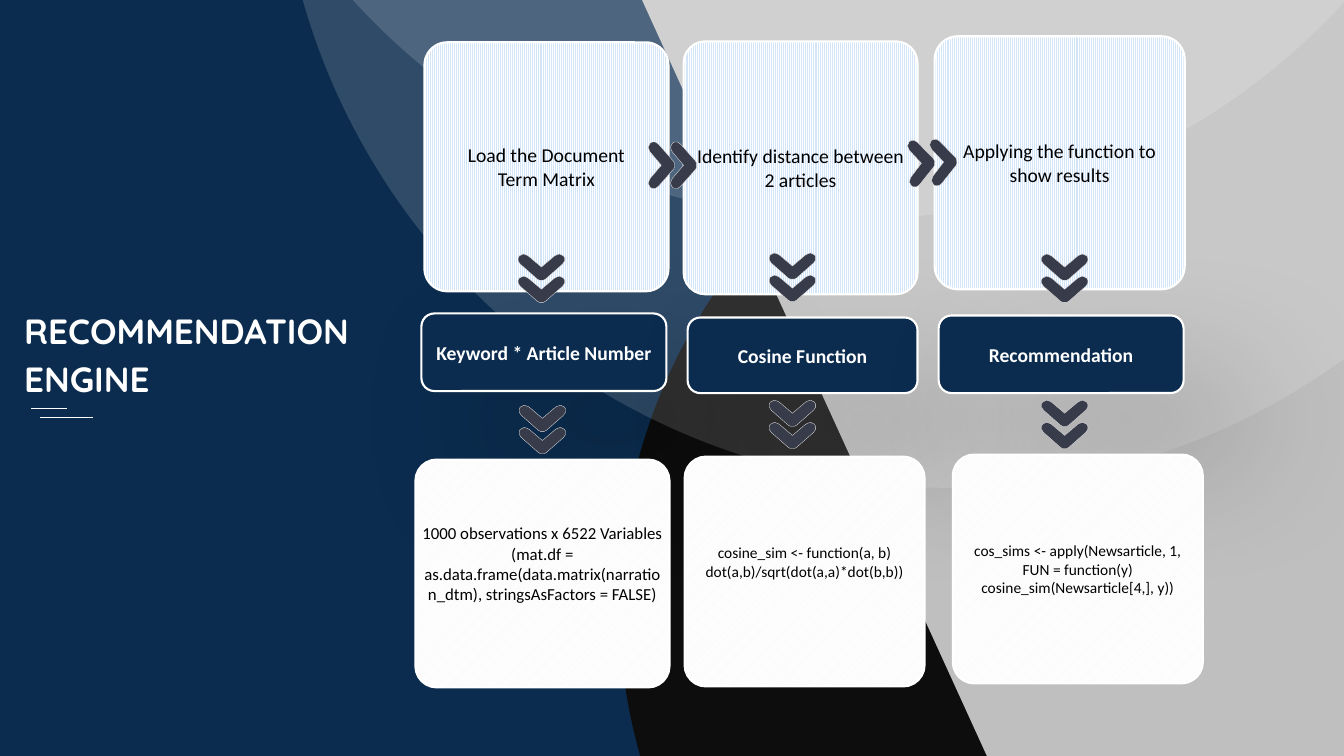
from dataclasses import dataclass
from math import cos, radians, sin

from lxml import etree
from pptx import Presentation
from pptx.dml.color import RGBColor
from pptx.enum.dml import MSO_PATTERN
from pptx.enum.shapes import MSO_CONNECTOR, MSO_SHAPE
from pptx.enum.text import MSO_ANCHOR, MSO_AUTO_SIZE, PP_ALIGN
from pptx.oxml import parse_xml
from pptx.oxml.ns import nsdecls, qn
from pptx.util import Inches, Pt


@dataclass(frozen=True)
class Theme:
    navy: RGBColor = RGBColor.from_string("0B2C4E")
    black: RGBColor = RGBColor.from_string("0D0D0D")
    grey: RGBColor = RGBColor.from_string("BFBFBF")
    white: RGBColor = RGBColor.from_string("FFFFFF")
    ink: RGBColor = RGBColor.from_string("000000")
    stripe: RGBColor = RGBColor.from_string("D3E5F9")
    hatch: RGBColor = RGBColor.from_string("F2F2F2")
    arrow: RGBColor = RGBColor.from_string("383B4A")
    arrow_edge: RGBColor = RGBColor.from_string("E7E6E6")
    title_font: str = "Quicksand"
    body_font: str = "Calibri"
    title_size: int = 25
    step_size: int = 14
    code_size: int = 11


THEME = Theme()

# Each box is left, top, width, height
STEPS = [
    ((4.21, 0.42, 2.42, 2.47), "Load the Document\nTerm Matrix"),
    ((6.78, 0.41, 2.32, 2.51), "Identify distance between 2 articles"),
    ((9.27, 0.36, 2.48, 2.51), "Applying the function to show results"),
]
LABELS = [
    ((4.18, 3.11, 2.43, 0.77), "Keyword * Article Number"),
    ((6.82, 3.15, 2.28, 0.75), "Cosine Function"),
    ((9.31, 3.13, 2.43, 0.77), "Recommendation"),
]
# Detail boxes add the text size and the bottom inset
DETAILS = [
    ((4.12, 4.56, 2.52, 2.26),
     "1000 observations x 6522 Variables\n(mat.df = as.data.frame("
     "data.matrix(narration_dtm), stringsAsFactors = FALSE)", 12, 0.2),
    ((6.79, 4.53, 2.38, 2.28),
     "cosine_sim <- function(a, b) dot(a,b)/sqrt(dot(a,a)*dot(b,b))",
     THEME.code_size, 0.19),
    ((9.45, 4.51, 2.48, 2.27),
     "cos_sims <- apply(Newsarticle, 1, FUN = function(y) "
     "cosine_sim(Newsarticle[4,], y))", THEME.code_size, 0),
]
# Centre of the first chevron, and the turn away from pointing down
ARROWS = [
    (5.37, 2.65, 0), (7.86, 2.64, 0), (10.56, 2.65, 0),
    (5.38, 4.15, 0), (7.86, 4.1, 0), (10.56, 4.1, 0),
    (6.56, 1.64, 90), (9.14, 1.62, 93),
]
CHEVRON_STEP = 0.22
CHEVRON_HALF = [
    (0, 0), (0.13, -0.11), (0.15, -0.12), (0.18, -0.13), (0.2, -0.12),
    (0.22, -0.11), (0.23, -0.09), (0.23, -0.06), (0.21, -0.03),
    (0.04, 0.12), (0.02, 0.13), (0, 0.13),
]
CHEVRON = CHEVRON_HALF + [(-x, y) for x, y in CHEVRON_HALF[-2:0:-1]]


def add_box(s, kind, box, color=None):
    sp = s.shapes.add_shape(kind, *map(Inches, box))
    sp.shadow.inherit = False
    sp.line.fill.background()
    if color is not None:
        sp.fill.solid()
        sp.fill.fore_color.rgb = color
    return sp


def add_backdrop(s):
    add_box(s, MSO_SHAPE.OVAL, (6.14, 0.49, 11.01, 11.01), THEME.black)
    sp = add_box(s, MSO_SHAPE.PARALLELOGRAM, (6.35, -0.04, 11.97, 7.54),
                 THEME.grey)
    sp.adjustments[0] = 0.456
    sp._element.spPr.find(qn("a:xfrm")).set("flipH", "1")


def add_veils(s):
    for left, top in [(2.75, -8.47), (1.77, -11.13)]:
        sp = add_box(s, MSO_SHAPE.OVAL, (left, top, 13.31, 13.31), THEME.white)
        color = sp._element.spPr.find(qn("a:solidFill"))[0]
        etree.SubElement(color, qn("a:alpha")).set("val", "15000")


def add_title(s, box):
    left, top, width, height = box
    sp = s.shapes.title
    s.shapes._spTree.append(sp._element)  # in front of the backdrop
    sp.left, sp.top, sp.width, sp.height = map(Inches, box)
    tf = sp.text_frame
    tf.text = "RECOMMENDATION\nENGINE"
    tf.word_wrap = False
    tf.auto_size = MSO_AUTO_SIZE.SHAPE_TO_FIT_TEXT
    tf.vertical_anchor = MSO_ANCHOR.BOTTOM
    for p in tf.paragraphs:
        p.alignment = PP_ALIGN.LEFT
        p.line_spacing = Pt(34)
        p.space_before = Pt(0)
        format_runs(p, THEME.title_font, THEME.title_size, THEME.white, True)
    # Two short rules below the title
    bottom = top + height
    for x, y, length in [(0.26, 0.13, 0.52), (0.17, 0.04, 0.35)]:
        line = s.shapes.add_connector(
            MSO_CONNECTOR.STRAIGHT, Inches(left + x), Inches(bottom + y),
            Inches(left + x + length), Inches(bottom + y))
        line.line.color.rgb = THEME.white
        line.line.width = Pt(1)
        etree.SubElement(line._element.spPr, qn("a:effectLst"))


def format_runs(p, font, size, color, bold):
    for r in p.runs:
        r.font.name = font
        r.font.size = Pt(size)
        r.font.bold = bold
        r.font.color.rgb = color


def add_card(s, box, text, size, color, bold=False, bottom=0):
    sp = add_box(s, MSO_SHAPE.ROUNDED_RECTANGLE, box)
    sp.line.color.rgb = THEME.white
    sp.line.width = Pt(1.5)
    tf = sp.text_frame
    tf.text = text
    tf.word_wrap = True
    tf.vertical_anchor = MSO_ANCHOR.MIDDLE
    tf.margin_left = tf.margin_right = tf.margin_top = 0
    tf.margin_bottom = Inches(bottom)
    for p in tf.paragraphs:
        p.alignment = PP_ALIGN.CENTER
        format_runs(p, THEME.body_font, size, color, bold)
    return sp


def add_patterned_card(s, box, text, size, pattern, fore, bottom=0):
    sp = add_card(s, box, text, size, THEME.ink, bottom=bottom)
    sp.adjustments[0] = 0.093
    sp.fill.patterned()
    sp.fill.pattern = pattern
    sp.fill.fore_color.rgb = fore
    sp.fill.back_color.rgb = THEME.white


def add_label(s, box, text):
    sp = add_card(s, box, text, THEME.step_size, THEME.white, bold=True)
    sp.fill.solid()
    sp.fill.fore_color.rgb = THEME.navy
    # Soft shadow to the lower right
    sp._element.spPr.find(qn("a:effectLst")).append(parse_xml(
        f'<a:outerShdw {nsdecls("a")} blurRad="{Pt(100)}" dist="{Pt(65)}" '
        'dir="2700000" algn="tl" rotWithShape="0"><a:srgbClr val="000000">'
        '<a:alpha val="20000"/></a:srgbClr></a:outerShdw>'))


def add_double_chevron(s, x, y, turn):
    c, n = cos(radians(turn)), sin(radians(turn))
    group = s.shapes.add_group_shape()
    for shift in (0, CHEVRON_STEP):
        outline = [(Inches(x + dx * c + (dy + shift) * n),
                    Inches(y - dx * n + (dy + shift) * c))
                   for dx, dy in CHEVRON]
        builder = group.shapes.build_freeform(*outline[0])
        builder.add_line_segments(outline[1:], close=True)
        sp = builder.convert_to_shape()
        sp.shadow.inherit = False
        sp.fill.solid()
        sp.fill.fore_color.rgb = THEME.arrow
        sp.line.color.rgb = THEME.arrow_edge
        sp.line.width = Pt(0.23)


def main():
    prs = Presentation()
    prs.slide_width, prs.slide_height = Inches(13.33), Inches(7.5)
    s = prs.slides.add_slide(prs.slide_layouts[5])
    s.background.fill.solid()
    s.background.fill.fore_color.rgb = THEME.navy

    # Backdrop and title
    add_backdrop(s)
    add_title(s, (0.14, 3, 3.53, 1.01))
    add_veils(s)

    # Three rows of cards, then the arrows between them
    for box, text in LABELS:
        add_label(s, box, text)
    for box, text in STEPS:
        add_patterned_card(s, box, text, THEME.step_size,
                           MSO_PATTERN.NARROW_VERTICAL, THEME.stripe)
    for box, text, size, bottom in DETAILS:
        add_patterned_card(s, box, text, size,
                           MSO_PATTERN.DARK_UPWARD_DIAGONAL, THEME.hatch, bottom)
    for x, y, turn in ARROWS:
        add_double_chevron(s, x, y, turn)
    prs.save("out.pptx")


if __name__ == "__main__":
    main()
